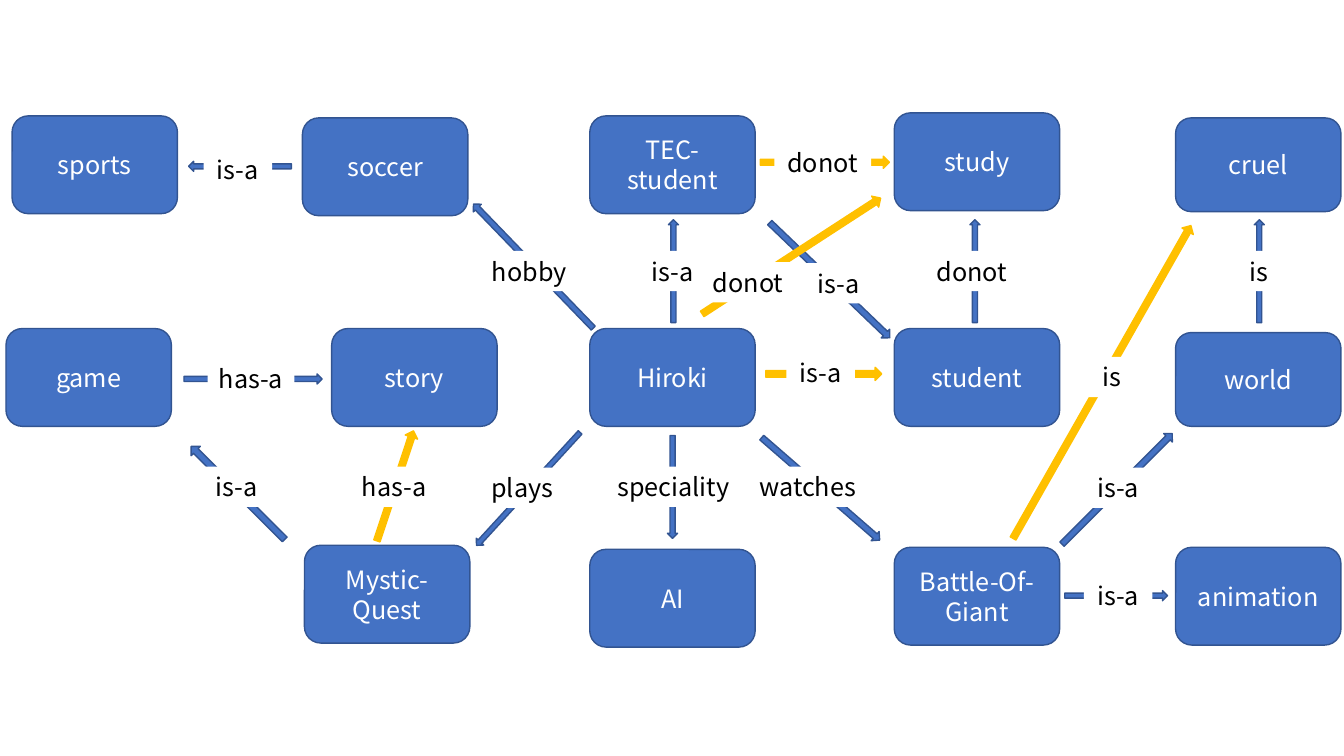
from pptx import Presentation
from pptx.dml.color import RGBColor
from pptx.enum.shapes import MSO_SHAPE
from pptx.enum.text import MSO_ANCHOR, PP_ALIGN
from pptx.util import Inches, Pt

ROUNDED = MSO_SHAPE.ROUNDED_RECTANGLE
RECTANGLE = MSO_SHAPE.RECTANGLE
UP_ARROW = MSO_SHAPE.UP_ARROW
MIDDLE, TOP = MSO_ANCHOR.MIDDLE, MSO_ANCHOR.TOP
CENTER = PP_ALIGN.CENTER
FONT = "Noto Sans CJK JP"
COLORS = {"blue": "4472C4", "outline": "325491", "gold": "FFC000",
          "white": "FFFFFF", "black": "000000"}
OUTLINES = {"blue": "outline", "gold": "gold"}
NODE_WIDTH, LABEL_HEIGHT = 1.64, 0.4

presentation = Presentation()
presentation.slide_width = Inches(13.33)
presentation.slide_height = Inches(7.5)
slide = presentation.slides.add_slide(presentation.slide_layouts[6])


def add_filled_shape(kind, left, top, width, height, fill, outline=None):
    """Add a flat preset shape, with a 1 pt outline if one is named."""
    shape = slide.shapes.add_shape(
        kind, Inches(left), Inches(top), Inches(width), Inches(height))
    shape.shadow.inherit = False
    shape.fill.solid()
    shape.fill.fore_color.rgb = RGBColor.from_string(COLORS[fill])
    if outline:
        shape.line.color.rgb = RGBColor.from_string(COLORS[outline])
        shape.line.width = Pt(1)
    else:
        shape.line.fill.background()
    return shape


def write_text(shape, text, color, anchor):
    """Write one centred run of text in a shape."""
    frame = shape.text_frame
    frame.word_wrap = True
    frame.vertical_anchor = anchor
    paragraph = frame.paragraphs[0]
    paragraph.alignment = CENTER
    run = paragraph.add_run()
    run.text = text
    run.font.name = FONT
    run.font.size = Pt(18)
    run.font.color.rgb = RGBColor.from_string(COLORS[color])


# Concept, left, top, height
nodes = [
    ("Mystic-Quest", 3.02, 5.41, 0.97),
    ("soccer", 3.0, 1.17, 0.97),
    ("Hiroki", 5.85, 3.26, 0.97),
    ("AI", 5.85, 5.45, 0.97),
    ("TEC-student", 5.85, 1.15, 0.97),
    ("sports", 0.12, 1.15, 0.97),
    ("animation", 11.66, 5.43, 0.97),
    ("Battle-Of-Giant", 8.87, 5.43, 0.97),
    ("study", 8.87, 1.12, 0.97),
    ("student", 8.87, 3.26, 0.97),
    ("story", 3.29, 3.26, 0.97),
    ("game", 0.06, 3.26, 0.97),
    ("cruel", 11.66, 1.17, 0.93),
    ("world", 11.66, 3.3, 0.93),
]
for concept, left, top, height in nodes:
    node = add_filled_shape(ROUNDED, left, top, NODE_WIDTH, height, "blue", "outline")
    write_text(node, concept, "white", MIDDLE)

label_widths = {"is": 0.68, "is-a": 0.68, "has-a": 0.86, "plays": 0.9, "donot": 0.96,
                "hobby": 0.97, "watches": 1.25, "speciality": 1.39}

# Relation, label centre x and top, arrow centre x and y, thickness, length, rotation, color
relations = [
    ("hobby", 5.25, 2.49, 5.29, 2.64, 0.11, 1.71, 316, "blue"),
    ("is-a", 2.36, 1.48, 2.38, 1.65, 0.1, 1.02, 270, "blue"),
    ("is-a", 6.67, 2.49, 6.68, 2.69, 0.1, 1.02, 0, "blue"),
    ("donot", 9.64, 2.49, 9.67, 2.69, 0.1, 1.02, 0, "blue"),
    ("is-a", 8.32, 2.61, 8.23, 2.78, 0.12, 1.65, 133.8, "blue"),
    ("is-a", 11.09, 5.71, 11.07, 5.91, 0.1, 1.02, 90, "blue"),
    ("is-a", 11.09, 4.64, 11.08, 4.85, 0.12, 1.55, 44.9, "blue"),
    ("is", 12.49, 2.49, 12.49, 2.69, 0.1, 1.02, 0, "blue"),
    ("watches", 8.01, 4.63, 8.14, 4.85, 0.12, 1.55, 131, "blue"),
    ("speciality", 6.68, 4.63, 6.67, 4.83, 0.1, 1.02, 180, "blue"),
    ("is-a", 2.35, 4.63, 2.36, 4.89, 0.13, 1.31, 314.8, "blue"),
    ("plays", 5.18, 4.64, 5.24, 4.85, 0.1, 1.52, 222.5, "blue"),
    ("has-a", 2.49, 3.56, 2.51, 3.76, 0.1, 1.37, 90, "blue"),
    ("has-a", 3.91, 4.63, 3.92, 4.82, 0.13, 1.15, 18.4, "gold"),
    ("is-a", 8.14, 3.5, 8.17, 3.71, 0.13, 1.15, 90, "gold"),
    ("donot", 8.16, 1.41, 8.18, 1.61, 0.12, 1.28, 90, "gold"),
    ("is", 11.03, 3.54, 10.93, 3.79, 0.13, 3.57, 29.6, "gold"),
    ("donot", 7.42, 2.6, 7.85, 2.54, 0.13, 2.11, 57, "gold"),
]
for relation, label_x, label_top, x, y, thickness, length, rotation, color in relations:
    arrow = add_filled_shape(UP_ARROW, x - thickness / 2, y - length / 2,
                             thickness, length, color, OUTLINES[color])
    arrow.rotation = rotation
    width = label_widths[relation]
    label = add_filled_shape(RECTANGLE, label_x - width / 2, label_top,
                             width, LABEL_HEIGHT, "white")
    write_text(label, relation, "black", TOP)

presentation.save("out.pptx")
